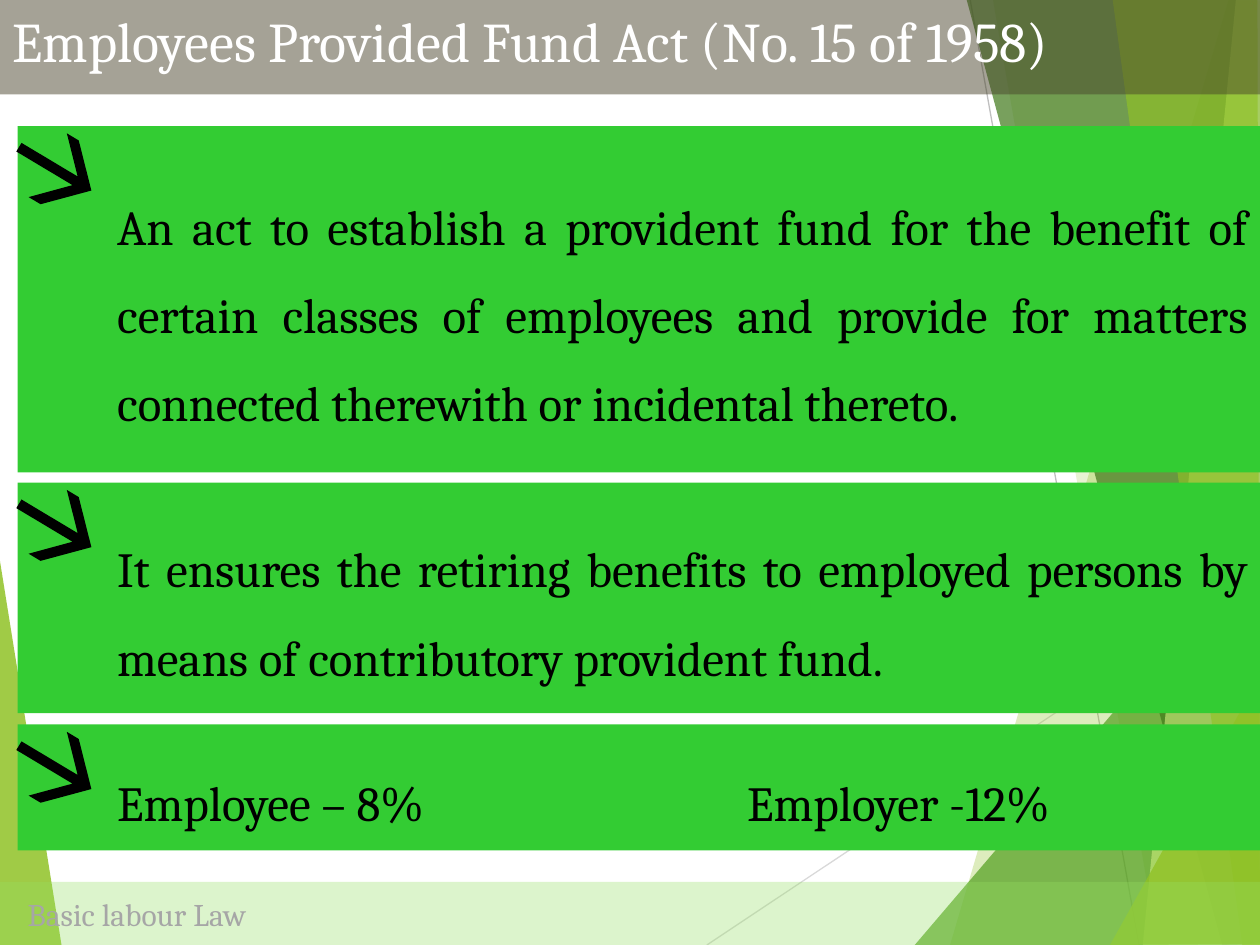
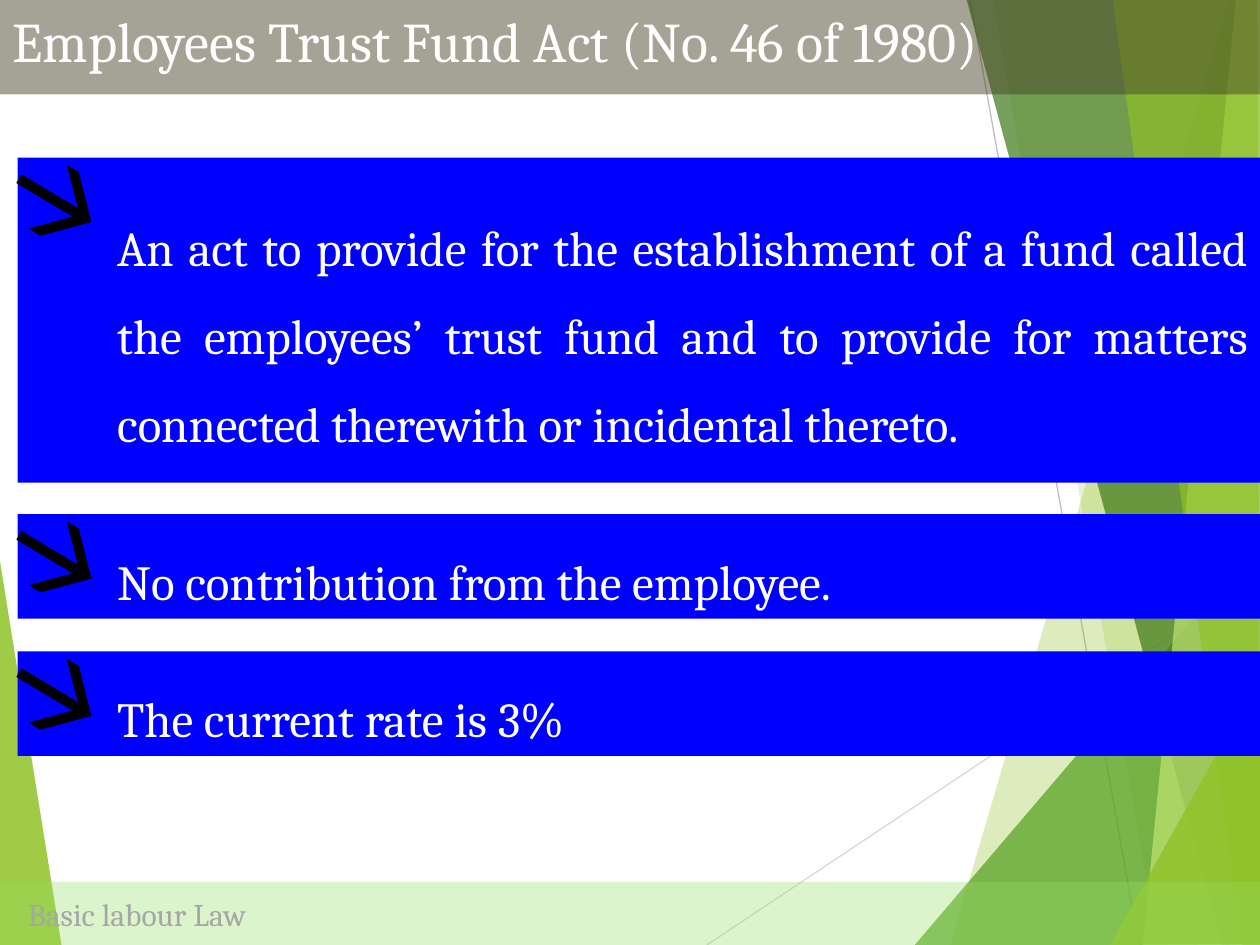
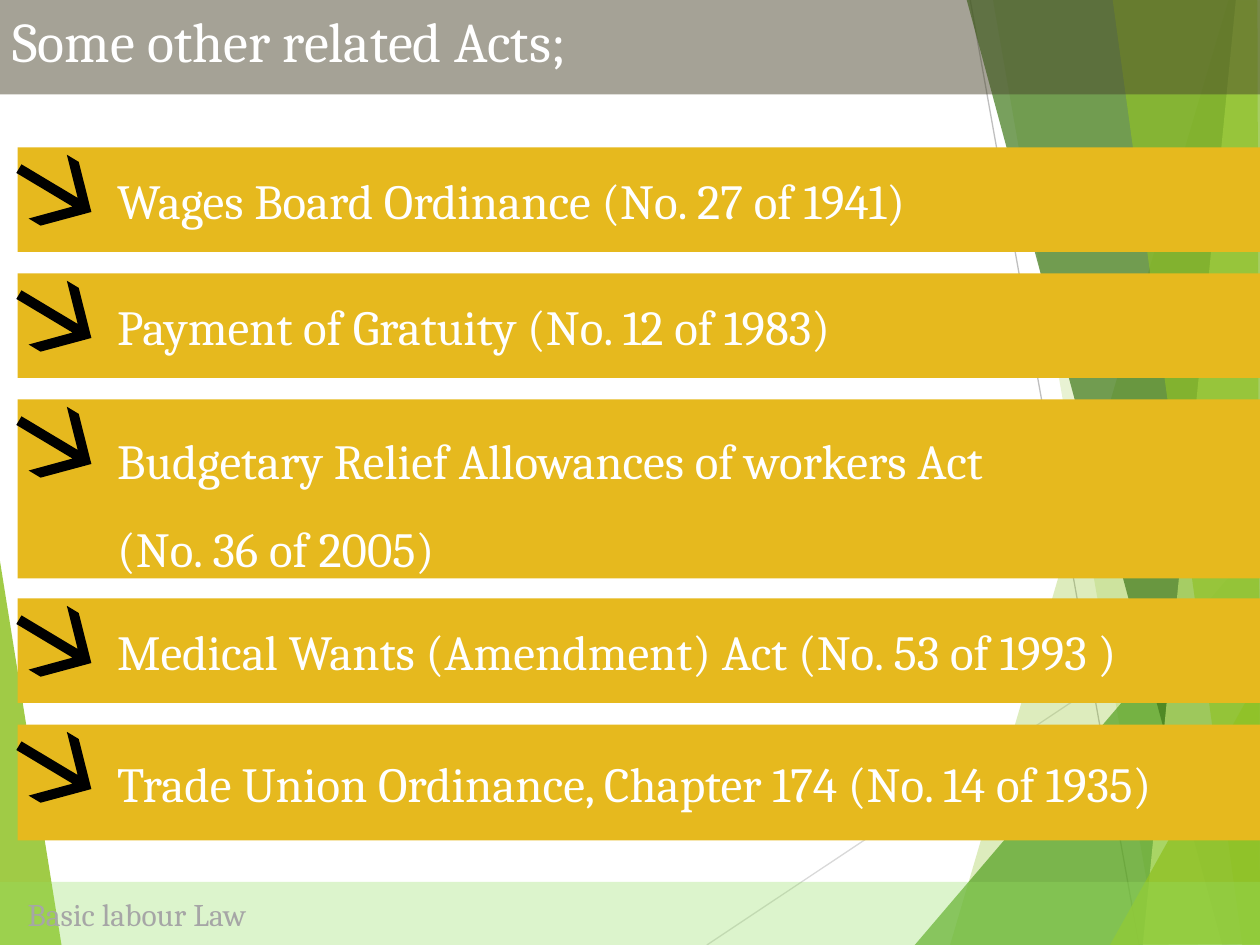
from lxml import etree
from pptx import Presentation
from pptx.dml.color import RGBColor
from pptx.enum.shapes import MSO_CONNECTOR, MSO_SHAPE
from pptx.enum.text import MSO_ANCHOR, MSO_AUTO_SIZE, PP_ALIGN
from pptx.oxml.ns import qn
from pptx.util import Inches, Pt

RECTANGLE = MSO_SHAPE.RECTANGLE
STRAIGHT = MSO_CONNECTOR.STRAIGHT
TOP, MIDDLE = MSO_ANCHOR.TOP, MSO_ANCHOR.MIDDLE
LEFT, JUSTIFY = PP_ALIGN.LEFT, PP_ALIGN.JUSTIFY
NO_AUTOFIT = MSO_AUTO_SIZE.NONE
HUNDREDTH = Inches(0.01)
FONT = "Cambria"
FOOTER = "Basic labour Law"
EMPLOYER_TAB = 5

COLORS = {
    "lime": "90C226",
    "leaf": "54A021",
    "forest": "3F7819",
    "pale": "C0E474",
    "light line": "D9D9D9",
    "dark line": "BFBFBF",
    "title band": "48432A",
    "footer band": "94DE61",
    "footer text": "A6A6A6",
    "green": "33CC33",
    "blue": "0000FF",
    "gold": "E6B91E",
    "black": "000000",
    "white": "FFFFFF",
}

BACKDROP_LINES = [
    ((5.61, 7.5), (10.01, 4.57), "light line"),
    ((7.7, 0), (9.04, 7.5), "dark line"),
]
BACKDROP_FACETS = [
    ("lime", 85, [(-1, 439), (49, 751), (-1, 750)]),
    ("lime", 30, [(975, 0), (754, 750), (1002, 751), (1001, 1)]),
    ("lime", 20, [(788, -1), (919, 750), (1001, 750), (1001, -1)]),
    ("leaf", 72, [(726, 750), (1000, 429), (1001, 750)]),
    ("forest", 70, [(767, -1), (970, 750), (1001, 749), (1001, -1)]),
    ("pale", 70, [(981, -1), (907, 750), (1001, 750), (1000, -1)]),
    ("lime", 65, [(883, -1), (986, 750), (1000, 750), (998, -1)]),
    ("lime", 80, [(881, 750), (1001, 535), (1001, 749)]),
]
ARROW = [(48, 59), (37, 59), (62, 33), (10, 33), (10, 25),
         (62, 25), (37, 0), (48, 0), (77, 29)]

PAGES = [
    ("Employees Provided Fund Act (No. 15 of 1958)", "green", "black", JUSTIFY, [
        (1, 2.75, 1.5, "An act to establish a provident fund for the benefit of certain classes "
                       "of employees and provide for matters connected therewith or incidental thereto."),
        (3.83, 1.83, 1.5, "It ensures the retiring benefits to employed persons by means of "
                          "contributory provident fund."),
        (5.75, 1, 1.5, "Employee – 8%\tEmployer -12%"),
    ]),
    ("Employees Trust Fund Act (No. 46 of 1980)", "blue", "white", JUSTIFY, [
        (1.25, 2.58, 1.5, "An act to provide for the establishment of a fund called the employees’ "
                          "trust fund and to provide for matters connected therewith or incidental thereto."),
        (4.08, 0.83, 1.5, "No contribution from the employee."),
        (5.17, 0.83, 1.5, "The current rate is 3%"),
    ]),
    ("Some other related Acts;", "gold", "white", LEFT, [
        (1.17, 0.83, 1, "Wages Board Ordinance (No. 27 of 1941)"),
        (2.17, 0.83, 1, "Payment of Gratuity (No. 12 of 1983)"),
        (3.17, 1.42, 1.5, "Budgetary Relief Allowances of workers Act\n(No. 36 of 2005)"),
        (4.75, 0.83, 1, "Medical Wants (Amendment) Act (No. 53 of 1993 )"),
        (5.75, 0.92, 1, "Trade Union Ordinance, Chapter 174 (No. 14 of 1935)"),
    ]),
]


def paint(shape, color, opacity=100):
    shape.fill.solid()
    shape.fill.fore_color.rgb = RGBColor.from_string(COLORS[color])
    shape.line.fill.background()
    if opacity < 100:
        tint = shape.element.spPr.find(".//" + qn("a:srgbClr"))
        etree.SubElement(tint, qn("a:alpha"), val=str(opacity * 1000))


def write(shape, text, size, color, inset=0.1, anchor=MIDDLE, align=LEFT, spacing=1):
    frame = shape.text_frame
    frame.word_wrap = True
    frame.auto_size = NO_AUTOFIT
    frame.vertical_anchor = anchor
    frame.margin_left, frame.margin_right = Inches(inset), Inches(0.1)
    frame.margin_top = frame.margin_bottom = Inches(0.05)
    for index, line in enumerate(text.split("\n")):
        para = frame.add_paragraph() if index else frame.paragraphs[0]
        para.alignment = align
        para.line_spacing = spacing
        span = para.add_run()
        span.text = line
        span.font.name = FONT
        span.font.size = Pt(size)
        span.font.color.rgb = RGBColor.from_string(COLORS[color])
        if "\t" in line:
            stops = etree.SubElement(para._p.get_or_add_pPr(), qn("a:tabLst"))
            etree.SubElement(stops, qn("a:tab"), pos=str(Inches(EMPLOYER_TAB)), algn="l")


deck = Presentation()
deck.slide_width, deck.slide_height = Inches(10), Inches(7.5)
layout = deck.slide_layouts[5]
pages = [deck.slides.add_slide(layout) for _ in PAGES]

backdrop = []
for start, end, color in BACKDROP_LINES:
    line = pages[0].shapes.add_connector(STRAIGHT, *map(Inches, start + end))
    line.line.color.rgb = RGBColor.from_string(COLORS[color])
    line.line.width = Pt(0.75)
    etree.SubElement(line.element.spPr, qn("a:effectLst"))
    backdrop.append(line)
for color, opacity, points in BACKDROP_FACETS:
    outline = pages[0].shapes.build_freeform(*points[0], scale=HUNDREDTH)
    outline.add_line_segments(points[1:])
    facet = outline.convert_to_shape()
    facet.shadow.inherit = False
    paint(facet, color, opacity)
    backdrop.append(facet)
for position, shape in enumerate(backdrop, start=2):
    layout.shapes.element.insert(position, shape.element)

for page, (heading, bar_color, text_color, align, bars) in zip(pages, PAGES):
    title = page.shapes.title
    title.left, title.top, title.width, title.height = map(Inches, (0, 0, 10, 0.75))
    paint(title, "title band", 49)
    write(title, heading, 32, "white", anchor=TOP)

    for top, height, spacing, text in bars:
        bar = page.shapes.add_shape(RECTANGLE, *map(Inches, (0.14, top, 9.86, height)))
        bar.shadow.inherit = False
        paint(bar, bar_color)
        write(bar, text, 28, text_color, inset=0.79, align=align, spacing=spacing)

        outline = page.shapes.build_freeform(*ARROW[0], scale=HUNDREDTH)
        outline.add_line_segments(ARROW[1:])
        arrow = outline.convert_to_shape(0, Inches(top + 0.05))
        arrow.rotation = 30.9
        arrow.shadow.inherit = False
        paint(arrow, "black")

    footer = page.shapes.add_shape(RECTANGLE, *map(Inches, (0, 7, 10, 0.5)))
    footer.shadow.inherit = False
    paint(footer, "footer band", 32)
    write(footer, FOOTER, 18, "footer text", inset=0.22)

deck.save("out.pptx")
